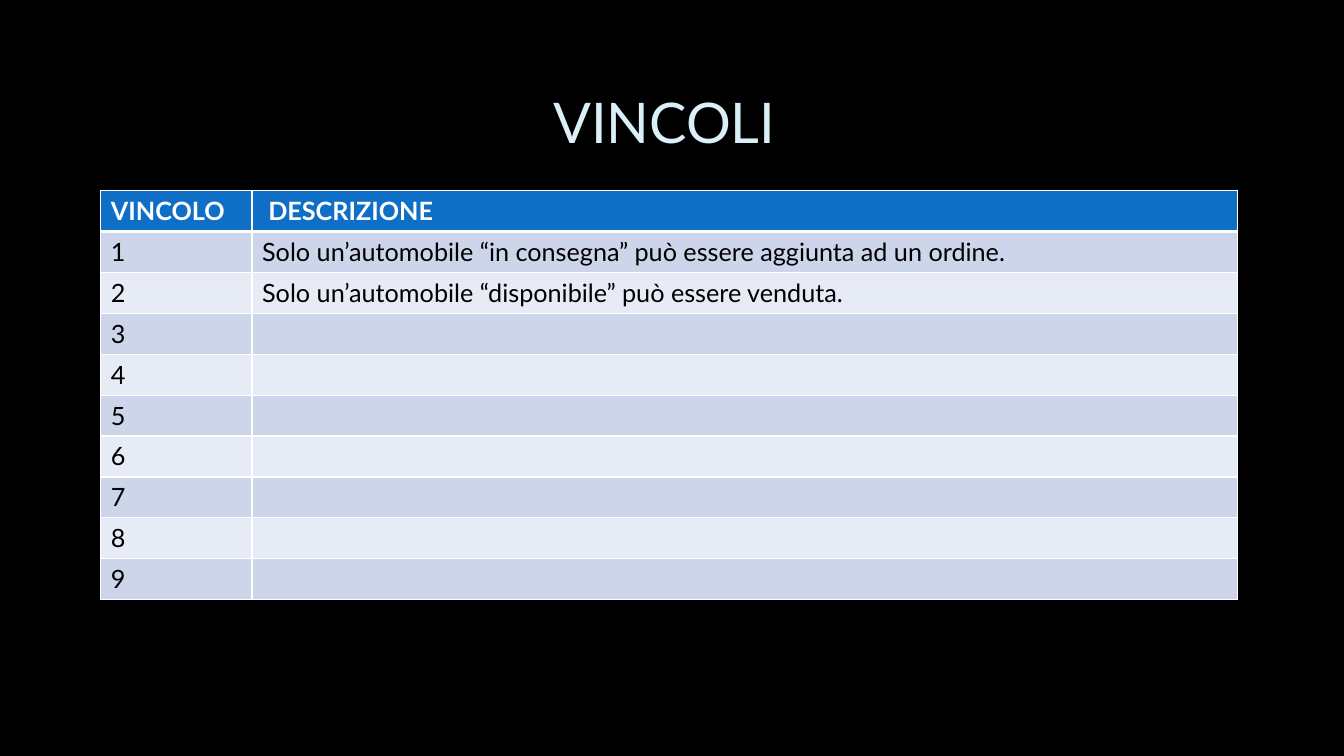
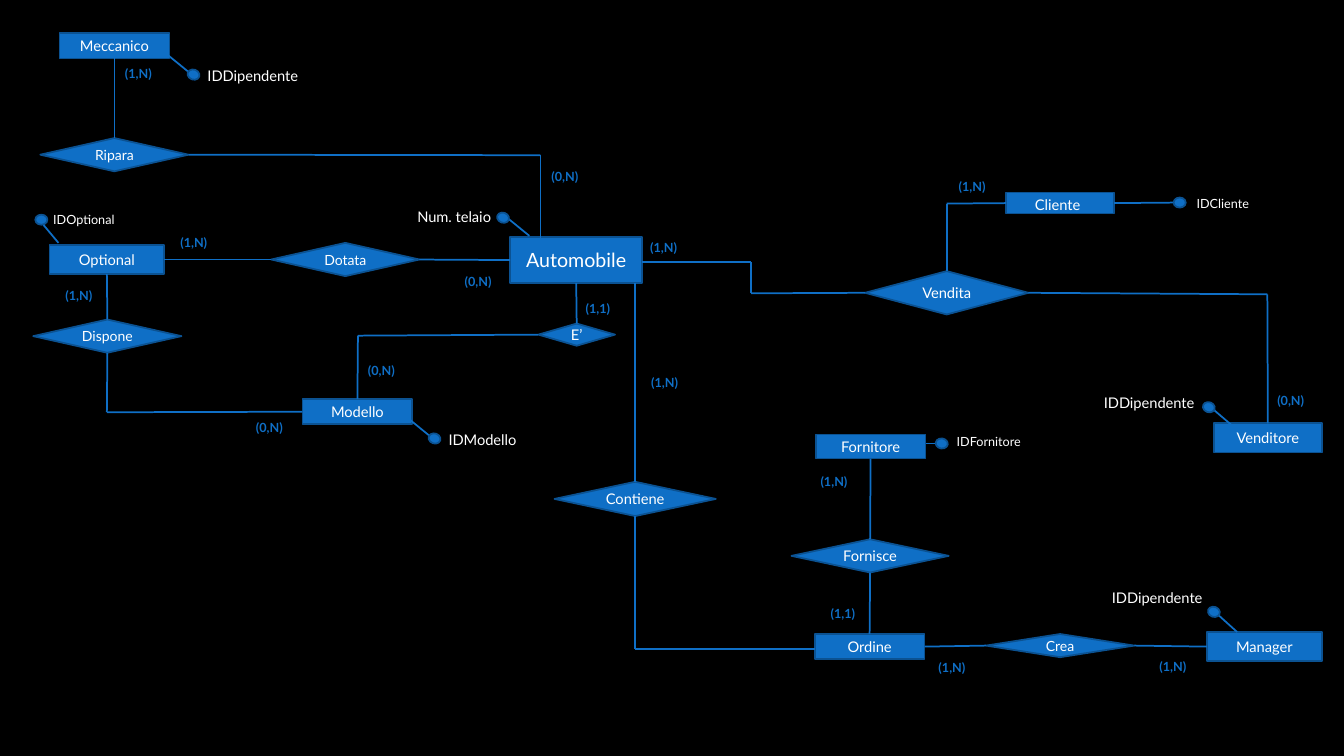
import dataclasses
import itertools
import typing

import lxml.etree
import pptx
import pptx.dml.color
import pptx.enum.shapes
import pptx.enum.text
import pptx.oxml
import pptx.oxml.ns
import pptx.util

# Shared style
EMU_PER_PX = 9144
PAGE_WIDTH, PAGE_HEIGHT = 1333, 750
FONT = "Lato"
LINE_WIDTH = 1.25
COLORS = {
    "background": "000000",
    "accent": "0F6FC6",
    "outline": "0B5292",
    "title": "DBEFF9",
    "white": "FFFFFF",
    "black": "000000",
    "odd_row": "CCD5EA",
    "even_row": "E7EBF5",
}
SHAPES = pptx.enum.shapes.MSO_SHAPE
ALIGN = pptx.enum.text.PP_ALIGN
ANCHOR = pptx.enum.text.MSO_ANCHOR
TOP, LEFT, BOTTOM, RIGHT = range(4)

Site = tuple[str, int]
Point = tuple[int, int]
End = typing.Union[Site, Point]


@dataclasses.dataclass(frozen=True)
class Node:
    name: str
    left: int
    top: int
    width: int
    height: int
    size: float = 10.5
    space_size: float = 0


@dataclasses.dataclass(frozen=True)
class Label:
    text: str
    left: int
    top: int
    width: int
    height: int = 25
    size: float = 9


@dataclasses.dataclass(frozen=True)
class KeyAttribute:
    label: Label
    dot: Point
    rotation: float
    stem: tuple[End, End]


# Constraints table
CONSTRAINTS = [
    "Solo un’automobile “in consegna” può essere aggiunta ad un ordine.",
    "Solo un’automobile “disponibile” può essere venduta.",
] + [""] * 7
TABLE_ROWS = [("VINCOLO", " DESCRIZIONE")] + [
    (str(number), text) for number, text in enumerate(CONSTRAINTS, 1)
]
COLUMN_WIDTHS = (150, 977)
TABLE_HEIGHT = 406

# Entity-relationship diagram
ENTITIES = [
    Node("Automobile", 506, 235, 131, 46, 14),
    Node("Cliente", 998, 191, 107, 21, space_size=14),
    Node("Venditore", 1204, 420, 107, 29),
    Node("Fornitore", 809, 431, 109, 24),
    Node("Manager", 1197, 627, 114, 29),
    Node("Optional", 49, 243, 114, 29),
    Node("Meccanico", 59, 33, 109, 25),
    Node("Modello", 300, 396, 109, 25),
    Node("Ordine", 808, 629, 109, 25),
]
RELATIONS = [
    Node("Vendita", 858, 269, 162, 43),
    Node("Dispone", 33, 317, 147, 33, 10),
    Node("E’", 534, 321, 76, 22),
    Node("Ripara", 40, 137, 147, 33, 10),
    Node("Crea", 978, 629, 147, 23, 10),
    Node("Contiene", 550, 478, 160, 34),
    Node("Fornisce", 785, 535, 156, 33),
    Node("Dotata", 269, 241, 147, 33, 10),
]
ROUTES: list[list[End]] = [
    [("Venditore", TOP), (1257, 292), ("Vendita", RIGHT)],
    [("Cliente", LEFT), (939, 202), ("Vendita", TOP)],
    [("Vendita", LEFT), (745, 291), (745, 260), (637, 260)],
    [("Optional", BOTTOM), ("Dispone", TOP)],
    [("Modello", LEFT), (106, 409), ("Dispone", BOTTOM)],
    [("Ripara", RIGHT), (536, 154), (536, 239)],
    [("Meccanico", BOTTOM), ("Ripara", TOP)],
    [("Automobile", BOTTOM), ("E’", TOP)],
    [("E’", LEFT), (355, 333), ("Modello", TOP)],
    [("Automobile", LEFT), ("Dotata", RIGHT)],
    [("Dotata", LEFT), ("Optional", RIGHT)],
    [(630, 281), ("Contiene", TOP)],
    [("Contiene", BOTTOM), (630, 644), (808, 644)],
    [("Fornitore", BOTTOM), ("Fornisce", TOP)],
    [("Fornisce", BOTTOM), ("Ordine", TOP)],
    [("Ordine", RIGHT), ("Crea", LEFT)],
    [("Crea", RIGHT), ("Manager", LEFT)],
]
KEY_ATTRIBUTES = [
    KeyAttribute(Label("IDCliente", 1177, 189, 74), (1164, 196), 0,
                 (("Cliente", RIGHT), (1164, 201))),
    KeyAttribute(Label("Num. telaio", 404, 201, 95, 28, 10.5), (493, 211), 199.7,
                 ((503, 216), (525, 234))),
    KeyAttribute(Label("IDOptional", 43, 205, 83), (35, 213), 0,
                 ((58, 241), (43, 223))),
    KeyAttribute(Label("IDFornitore", 939, 426, 86), (928, 435), 8.5,
                 ((918, 440), (932, 440))),
    KeyAttribute(Label("IDModello", 435, 422, 91, 28, 10.5), (425, 430), 199.7,
                 ((406, 416), (428, 434))),
    KeyAttribute(Label("IDDipendente", 196, 61, 110, 28, 10.5), (186, 69), 199.7,
                 ((167, 55), (189, 73))),
    KeyAttribute(Label("IDDipendente", 1093, 579, 110, 28, 10.5), (1198, 602), 199.7,
                 ((1206, 608), (1227, 627))),
    KeyAttribute(Label("IDDipendente", 1085, 386, 110, 28, 10.5), (1193, 399), 199.7,
                 ((1202, 405), (1223, 423))),
]
CARDINALITIES = {
    "(1,N)": [(941, 173), (635, 233), (114, 60), (636, 367), (804, 465),
              (55, 281), (169, 228), (1140, 649), (921, 650)],
    "(0,N)": [(1257, 385), (355, 355), (537, 163), (244, 412), (451, 267)],
    "(1,1)": [(571, 294), (814, 596)],
}


def px(length: float) -> pptx.util.Emu:
    return pptx.util.Emu(round(length * EMU_PER_PX))


def color(name: str) -> pptx.dml.color.RGBColor:
    return pptx.dml.color.RGBColor.from_string(COLORS[name])


def add_span(para, text: str, size: float, color_name: str, bold: bool = False) -> None:
    span = para.add_run()
    span.text = text
    span.font.name = FONT
    span.font.size = pptx.util.Pt(size)
    span.font.bold = bold
    span.font.color.rgb = color(color_name)


def add_page(deck):
    page = deck.slides.add_slide(deck.slide_layouts[6])
    page.background.fill.solid()
    page.background.fill.fore_color.rgb = color("background")
    return page


def add_title(page, text: str) -> None:
    box = page.shapes.add_textbox(px(100), px(67), px(1132), px(106))
    frame = box.text_frame
    frame.word_wrap = True
    frame.vertical_anchor = ANCHOR.MIDDLE
    frame.paragraphs[0].alignment = ALIGN.CENTER
    add_span(frame.paragraphs[0], text, 40, "title")


def add_label(page, label: Label, color_name: str, bold: bool = False) -> None:
    box = page.shapes.add_textbox(
        px(label.left), px(label.top), px(label.width), px(label.height))
    frame = box.text_frame
    frame.word_wrap = False
    frame.auto_size = pptx.enum.text.MSO_AUTO_SIZE.SHAPE_TO_FIT_TEXT
    add_span(frame.paragraphs[0], label.text, label.size, color_name, bold)


def add_filled_shape(page, kind, left: int, top: int, width: int, height: int):
    shape = page.shapes.add_shape(kind, px(left), px(top), px(width), px(height))
    shape.shadow.inherit = False
    shape.fill.solid()
    shape.fill.fore_color.rgb = color("accent")
    shape.line.color.rgb = color("outline")
    shape.line.width = pptx.util.Pt(LINE_WIDTH)
    return shape


def add_node(page, node: Node, kind):
    shape = add_filled_shape(page, kind, node.left, node.top, node.width, node.height)
    shape.text_frame.vertical_anchor = ANCHOR.MIDDLE
    para = shape.text_frame.paragraphs[0]
    para.alignment = ALIGN.CENTER
    add_span(para, node.name, node.size, "white")
    if node.space_size:
        add_span(para, " ", node.space_size, "white")
    return shape


def locate(end: End, shapes: dict) -> tuple[int, int]:
    if not isinstance(end[0], str):
        return px(end[0]), px(end[1])
    shape = shapes[end[0]]
    across, down = {TOP: (1, 0), LEFT: (0, 1), BOTTOM: (1, 2), RIGHT: (2, 1)}[end[1]]
    return (shape.left + shape.width * across // 2,
            shape.top + shape.height * down // 2)


def add_wire(page, start: End, end: End, shapes: dict) -> None:
    wire = page.shapes.add_connector(
        pptx.enum.shapes.MSO_CONNECTOR.STRAIGHT,
        *locate(start, shapes), *locate(end, shapes))
    for site, connect in ((start, wire.begin_connect), (end, wire.end_connect)):
        if isinstance(site[0], str):
            connect(shapes[site[0]], site[1])
    wire.line.color.rgb = color("accent")
    wire.line.width = pptx.util.Pt(LINE_WIDTH)
    lxml.etree.SubElement(
        wire._element.spPr, pptx.oxml.ns.qn("a:effectLst"))


def add_key_attribute(page, attribute: KeyAttribute, shapes: dict) -> None:
    add_wire(page, *attribute.stem, shapes)
    dot = add_filled_shape(page, SHAPES.FLOWCHART_CONNECTOR, *attribute.dot, 12, 10)
    dot.rotation = attribute.rotation
    add_label(page, attribute.label, "white")


def set_borders(cell, widths: dict[str, float]) -> None:
    properties = cell._tc.get_or_add_tcPr()
    for index, (side, width) in enumerate(widths.items()):
        border = pptx.oxml.parse_xml(
            f'<a:ln{side} {pptx.oxml.ns.nsdecls("a")} w="{pptx.util.Pt(width)}">'
            f'<a:solidFill><a:srgbClr val="{COLORS["white"]}"/></a:solidFill>'
            f'</a:ln{side}>')
        properties.insert(index, border)


def add_constraints_table(page) -> None:
    table = page.shapes.add_table(
        len(TABLE_ROWS), len(COLUMN_WIDTHS), px(100), px(189),
        px(sum(COLUMN_WIDTHS)), px(TABLE_HEIGHT)).table
    for column, width in zip(table.columns, COLUMN_WIDTHS):
        column.width = px(width)
    for row_index, texts in enumerate(TABLE_ROWS):
        table.rows[row_index].height = px(TABLE_HEIGHT / len(TABLE_ROWS))
        header = row_index == 0
        fill = "accent" if header else "odd_row" if row_index % 2 else "even_row"
        for column_index, text in enumerate(texts):
            cell = table.cell(row_index, column_index)
            cell.fill.solid()
            cell.fill.fore_color.rgb = color(fill)
            set_borders(cell, {"L": 1, "R": 1, "T": 3 if row_index == 1 else 1,
                               "B": 3 if header else 1})
            if text:
                add_span(cell.text_frame.paragraphs[0], text, 18,
                         "white" if header else "black", header)


def add_diagram(page) -> None:
    shapes = {}
    for nodes, kind in ((ENTITIES, SHAPES.RECTANGLE),
                        (RELATIONS, SHAPES.FLOWCHART_DECISION)):
        for node in nodes:
            shapes[node.name] = add_node(page, node, kind)
    for route in ROUTES:
        for start, end in itertools.pairwise(route):
            add_wire(page, start, end, shapes)
    for attribute in KEY_ATTRIBUTES:
        add_key_attribute(page, attribute, shapes)
    for text, places in CARDINALITIES.items():
        width = 46 if text == "(1,1)" else 50
        for left, top in places:
            add_label(page, Label(text, left, top, width), "accent", True)


def main() -> None:
    deck = pptx.Presentation()
    deck.slide_width, deck.slide_height = px(PAGE_WIDTH), px(PAGE_HEIGHT)
    constraints_page = add_page(deck)
    add_title(constraints_page, "VINCOLI ")
    add_constraints_table(constraints_page)
    add_diagram(add_page(deck))
    deck.save("out.pptx")


if __name__ == "__main__":
    main()
